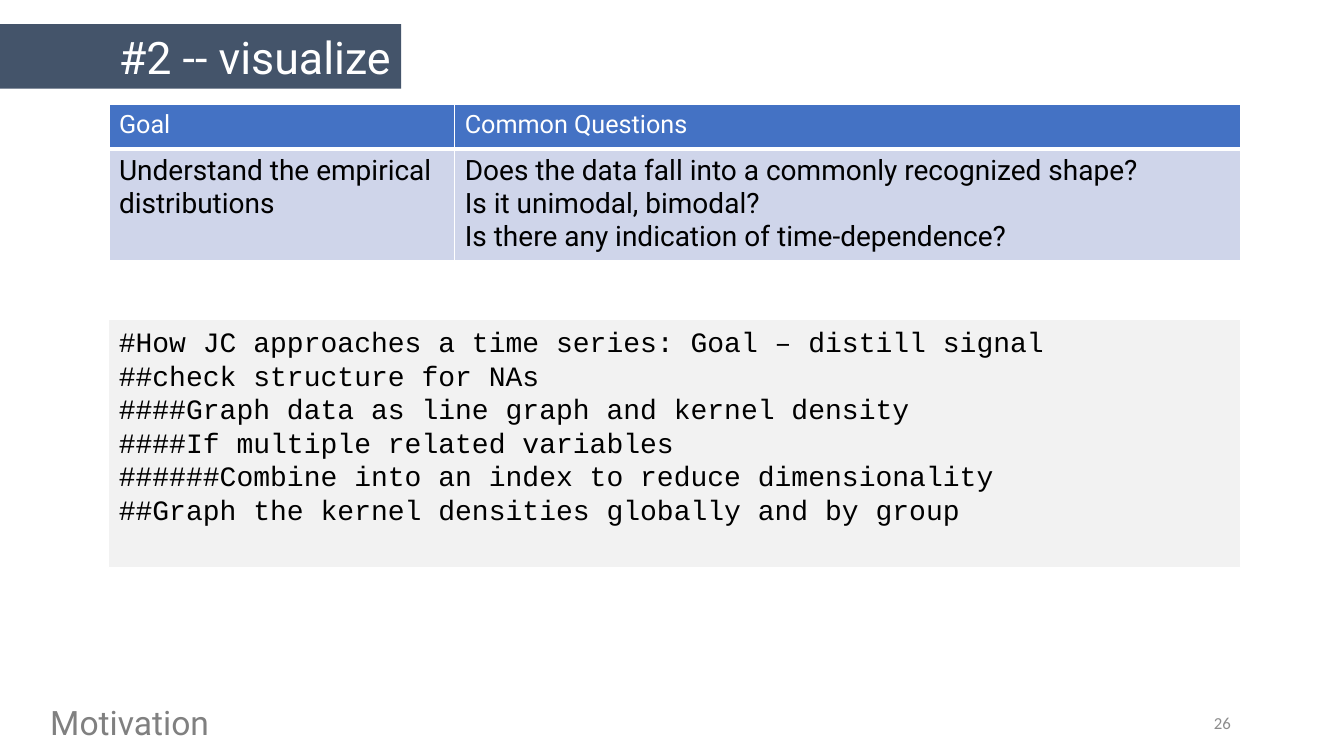
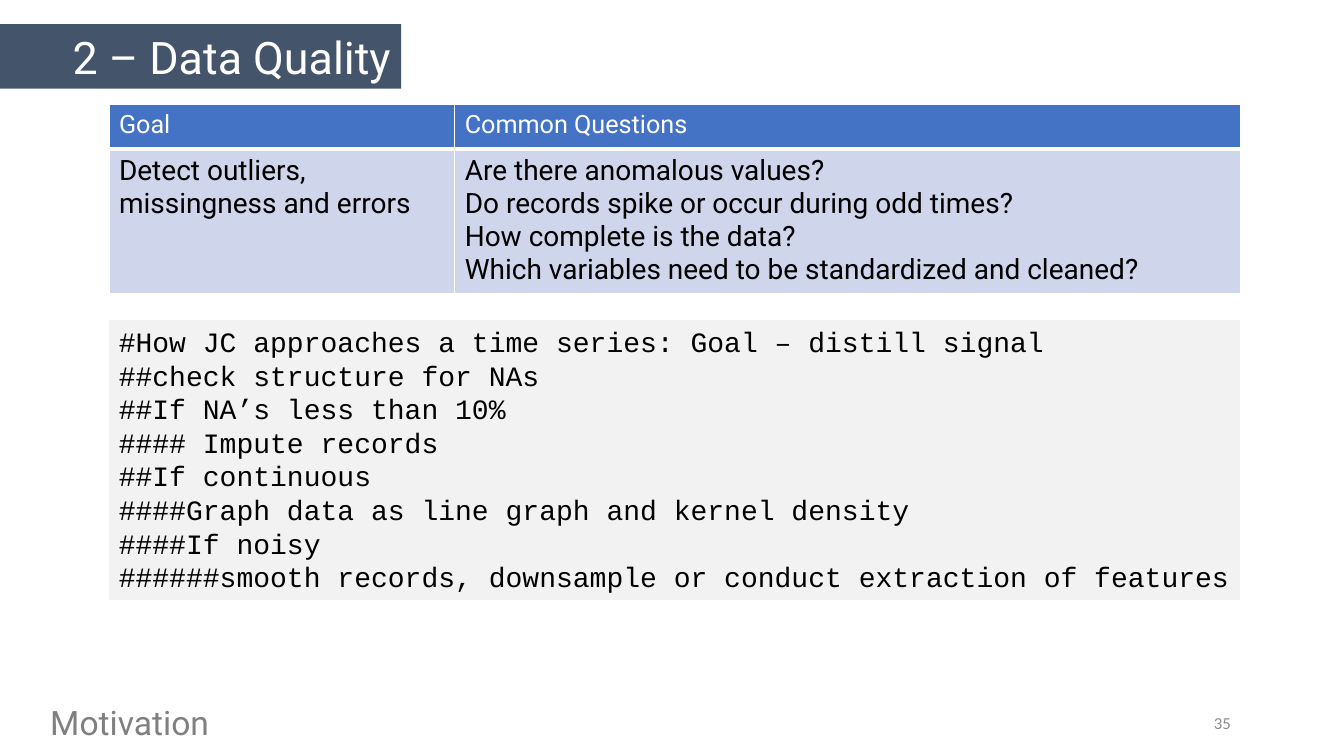
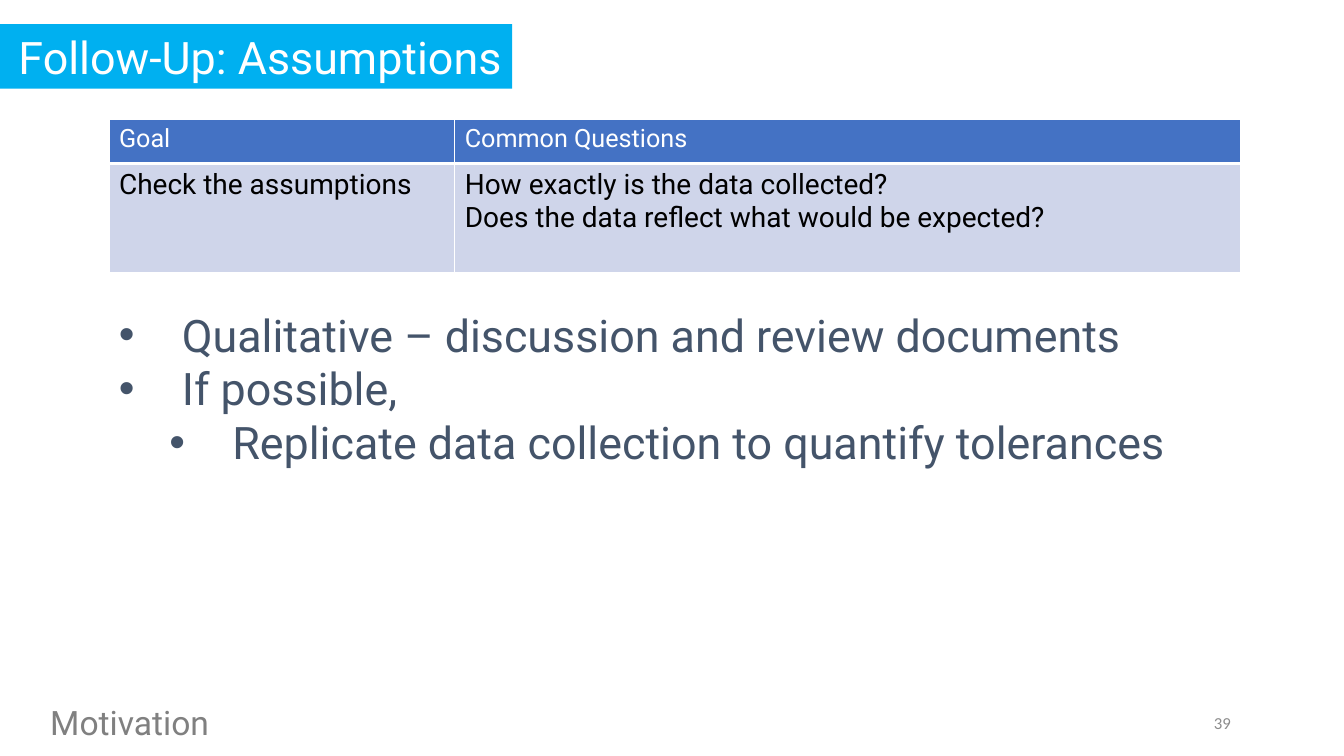
import pptx
import pptx.util
import pptx.dml.color
import pptx.enum.text
import pptx.enum.shapes
import pptx.oxml.ns
import lxml.etree

Pt = pptx.util.Pt
ALIGN = pptx.enum.text.PP_ALIGN
ANCHOR = pptx.enum.text.MSO_ANCHOR

SLATE, SKY, BLUE, PALE = "44546A", "00B0F0", "4472C4", "CFD5EA"
WHITE, BLACK, GREY, DIM, MIST = "FFFFFF", "000000", "808080", "8C8C8C", "F2F2F2"
SANS, MONO, PLAIN = "Roboto", "Courier New", "Calibri"
LEFT, WIDTH = 77.8, 808.6
COLS = (247, 561.6)
HEAD, BODY, LINE, PAD = 31.7, 77.8, 24, 7.2


def tint(code):
    return pptx.dml.color.RGBColor.from_string(code)


def paint(item, code):
    item.fill.solid()
    item.fill.fore_color.rgb = tint(code)


def write(frame, lines, size, color, font=SANS, align=ALIGN.LEFT):
    frame.text = "\n".join(lines)
    for para in frame.paragraphs:
        para.alignment = align
        for run in para.runs:
            run.font.size = Pt(size)
            run.font.name = font
            run.font.bold = False
            run.font.color.rgb = tint(color)


def label(slide, box, lines, size, color, **style):
    frame = slide.shapes.add_textbox(*map(Pt, box)).text_frame
    frame.word_wrap = True
    write(frame, lines, size, color, **style)
    return frame


def banner(slide, text, width, color):
    title = slide.shapes.title
    title.left, title.top, title.width, title.height = map(Pt, (0, 17.3, width, 46))
    paint(title, color)
    frame = title.text_frame
    frame.auto_size = pptx.enum.text.MSO_AUTO_SIZE.NONE
    frame.vertical_anchor = ANCHOR.TOP
    frame.margin_left = 0
    write(frame, [text], 32, WHITE, align=ALIGN.RIGHT)


def footer(slide, number):
    label(slide, (28.8, 497.5, 704.9, 36), ["Motivation"], 24, GREY)
    frame = label(slide, (670.3, 501.8, 216, 28.8), [number], 12, DIM,
                  font=PLAIN, align=ALIGN.RIGHT)
    frame.vertical_anchor = ANCHOR.MIDDLE


def add(parent, tag, **attrs):
    return lxml.etree.SubElement(parent, pptx.oxml.ns.qn(tag), attrs)


def border(cell, top, bottom):
    props = cell._tc.get_or_add_tcPr()
    sides = (("L", 1), ("R", 1), ("T", top), ("B", bottom))
    for spot, (side, width) in enumerate(sides):
        edge = add(props, "a:ln" + side, w=str(Pt(width)))
        add(add(edge, "a:solidFill"), "a:srgbClr", val=WHITE)
        props.insert(spot, edge)


def grid(slide, top, goal, asks):
    deep = max(BODY, LINE * len(asks) + PAD)
    table = slide.shapes.add_table(
        2, 2, Pt(LEFT), Pt(top), Pt(WIDTH), Pt(HEAD + deep)).table
    for column, width in zip(table.columns, COLS):
        column.width = Pt(width)
    rows = (
        (HEAD, (["Goal"], ["Common Questions"]), 18, WHITE, BLUE, 1, 3),
        (deep, ([goal], asks), 20, BLACK, PALE, 3, 1),
    )
    for row, (height, texts, size, color, back, above, below) in zip(table.rows, rows):
        row.height = Pt(height)
        for cell, lines in zip(row.cells, texts):
            write(cell.text_frame, lines, size, color)
            paint(cell, back)
            border(cell, above, below)


def code(slide, height, lines):
    box = slide.shapes.add_shape(
        pptx.enum.shapes.MSO_SHAPE.RECTANGLE,
        Pt(LEFT), Pt(228.2), Pt(WIDTH), Pt(height))
    box.shadow.inherit = False
    paint(box, MIST)
    box.line.color.rgb = tint(WHITE)
    box.line.width = Pt(0.75)
    box.text_frame.word_wrap = True
    box.text_frame.vertical_anchor = ANCHOR.TOP
    write(box.text_frame, lines, 20, BLACK, font=MONO)


def points(slide, items):
    frame = label(slide, (LEFT, 216, 771.1, 162.7),
                  [text for level, text in items], 32, SLATE)
    for para, (level, text) in zip(frame.paragraphs, items):
        para.level = level
        props = para._p.get_or_add_pPr()
        props.set("marL", str(Pt(45 + 36 * level)))
        props.set("indent", str(Pt(-45)))
        add(props, "a:buFont", typeface="Arial")
        add(props, "a:buChar", char="•")


def start(deck, title, width, color, number):
    slide = deck.slides.add_slide(deck.slide_layouts[5])
    banner(slide, title, width, color)
    footer(slide, number)
    return slide


def main():
    deck = pptx.Presentation()
    deck.slide_width, deck.slide_height = Pt(960), Pt(540)
    intro = ["#How JC approaches a time series: Goal – distill signal",
             "##check structure for NAs"]
    graph = "####Graph data as line graph and kernel density"

    slide = start(deck, "#2 -- visualize", 286.6, SLATE, "26")
    grid(slide, 74.9, "Understand the empirical distributions", [
        "Does the data fall into a commonly recognized shape?",
        "Is it unimodal, bimodal?",
        "Is there any indication of time-dependence?"])
    code(slide, 177.1, intro + [
        graph,
        "####If multiple related variables",
        "######Combine into an index to reduce dimensionality",
        "##Graph the kernel densities globally and by group"])

    slide = start(deck, "2 – Data Quality", 286.6, SLATE, "35")
    grid(slide, 74.9, "Detect outliers, missingness and errors", [
        "Are there anomalous values?",
        "Do records spike or occur during odd times?",
        "How complete is the data?",
        "Which variables need to be standardized and cleaned?"])
    code(slide, 200.9, intro + [
        "##If NA’s less than 10%",
        "#### Impute records",
        "##If continuous",
        graph,
        "####If noisy",
        "######smooth records, downsample or conduct extraction of features"])

    slide = start(deck, "Follow-Up: Assumptions", 365.8, SKY, "39")
    grid(slide, 85, "Check the assumptions", [
        "How exactly is the data collected?",
        "Does the data reflect what would be expected?"])
    points(slide, [
        (0, "Qualitative – discussion and review documents"),
        (0, "If possible,"),
        (1, "Replicate data collection to quantify tolerances")])

    deck.save("out.pptx")


if __name__ == "__main__":
    main()
